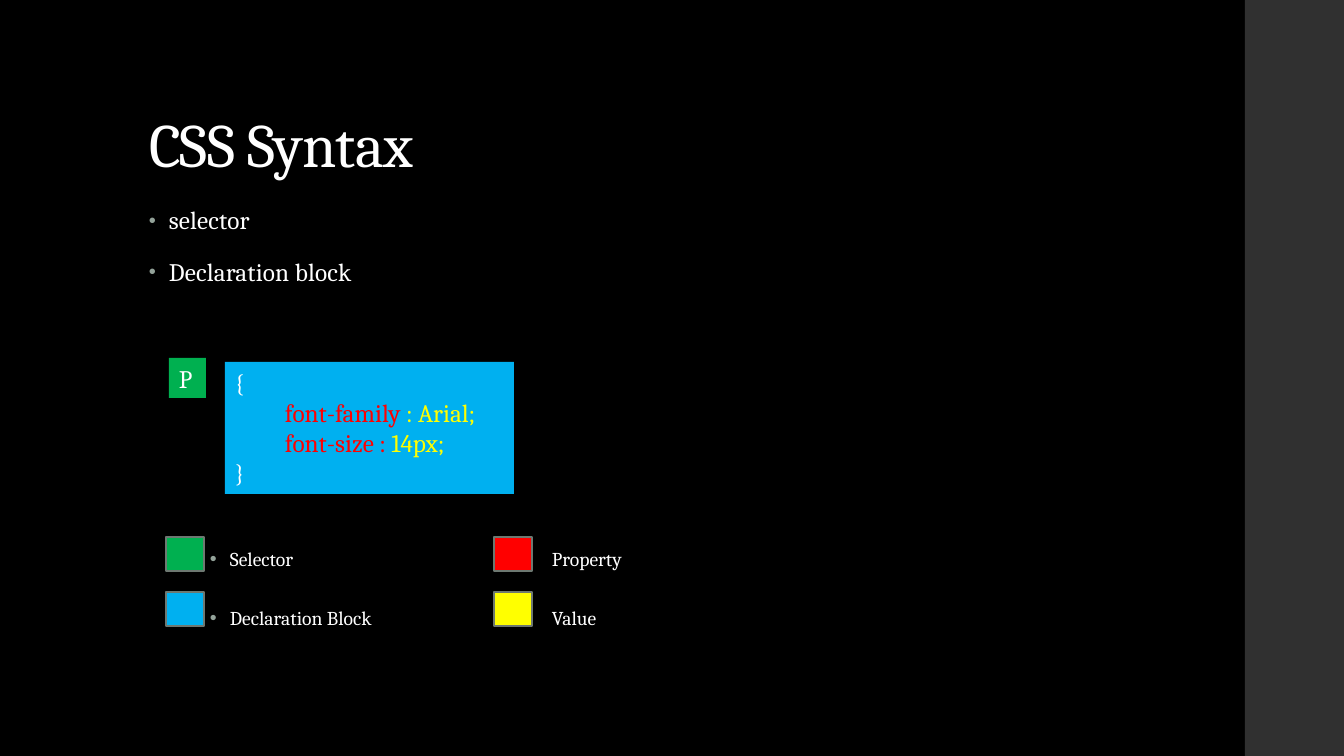
from lxml import etree
from pptx import Presentation
from pptx import util as u
from pptx.dml.color import RGBColor
from pptx.enum import shapes, text
from pptx.oxml.ns import qn

PX = 914400 / 100.8
FONT = "Cambria"
WHITE, GREEN, BLUE, RED, YELLOW = "FFFFFF", "00B050", "00B0F0", "FF0000", "FFFF00"
BACKGROUND, SIDEBAR, OUTLINE, BULLET = "000000", "303030", "6D7871", "93A299"

TITLE = "CSS Syntax"
PARTS = ["selector", "Declaration block"]
SELECTOR = [[("P", WHITE)]]
DECLARATION = [
    [("{", WHITE)],
    [("font-family ", RED), (": Arial;", YELLOW)],
    [("font-size : ", RED), ("14px;", YELLOW)],
    [("}", WHITE)],
]
# Columns: swatch x, label x, bulleted, entries from top to bottom
LEGEND = [
    (166, 230, True, [("Selector", GREEN), ("Declaration Block", BLUE)]),
    (494, 552, False, [("Property", RED), ("Value", YELLOW)]),
]
SWATCH_TOP, SWATCH_STEP = 537, 55
LABEL_TOP, LABEL_STEP = 547, 59
HANG = 20
CODE_INDENT = 50


def px(n):
    return u.Emu(round(n * PX))


def rgb(value):
    return RGBColor.from_string(value)


def add_rect(slide, box, fill, line=None):
    sp = slide.shapes.add_shape(shapes.MSO_SHAPE.RECTANGLE, *map(px, box))
    sp.shadow.inherit = False
    sp.fill.solid()
    sp.fill.fore_color.rgb = rgb(fill)
    if line:
        sp.line.color.rgb = rgb(line)
        sp.line.width = u.Pt(1.1)
    else:
        sp.line.fill.background()
    return sp


def set_frame(tf, anchor, inset_x=10, inset_y=5):
    tf.word_wrap = True
    tf.vertical_anchor = anchor
    tf.margin_left = tf.margin_right = px(inset_x)
    tf.margin_top = tf.margin_bottom = px(inset_y)


def style(r, size, color=WHITE, spacing=0):
    r.font.name = FONT
    r.font.size = u.Pt(size)
    r.font.color.rgb = rgb(color)
    if spacing:
        r.font._element.set("spc", str(round(spacing * 100)))


def add_bullet(p, scale=100):
    pPr = p._p.get_or_add_pPr()
    pPr.set("marL", str(px(HANG)))
    pPr.set("indent", str(-px(HANG)))
    color = etree.SubElement(pPr, qn("a:buClr"))
    etree.SubElement(color, qn("a:srgbClr"), val=BULLET)
    etree.SubElement(pPr, qn("a:buSzPct"), val=str(scale * 1000))
    etree.SubElement(pPr, qn("a:buFont"), typeface="Arial")
    etree.SubElement(pPr, qn("a:buChar"), char="•")


def add_text(slide, box, lines, size, anchor=text.MSO_ANCHOR.TOP, spacing=0, inset=(10, 5)):
    tf = slide.shapes.add_textbox(*map(px, box)).text_frame
    set_frame(tf, anchor, *inset)
    tf.text = "\n".join(lines)
    for p in tf.paragraphs:
        style(p.runs[0], size, spacing=spacing)
    return tf.paragraphs


def add_code(slide, box, fill, lines):
    tf = add_rect(slide, box, fill).text_frame
    set_frame(tf, text.MSO_ANCHOR.TOP)
    for i, pieces in enumerate(lines):
        p = tf.add_paragraph() if i else tf.paragraphs[0]
        p.alignment = text.PP_ALIGN.LEFT
        if len(pieces) > 1:
            p._p.get_or_add_pPr().set("marL", str(px(CODE_INDENT)))
        for content, color in pieces:
            r = p.add_run()
            r.text = content
            style(r, 18, color)


def add_legend(slide):
    for swatch_x, label_x, bulleted, entries in LEGEND:
        for row, (label, color) in enumerate(entries):
            add_rect(slide, (swatch_x, SWATCH_TOP + row * SWATCH_STEP, 38, 34), color, OUTLINE)
            hang = HANG if bulleted else 0
            box = (label_x - hang, LABEL_TOP + row * LABEL_STEP, 200, 24)
            p = add_text(slide, box, [label], 14, text.MSO_ANCHOR.MIDDLE, inset=(0, 0))[0]
            if bulleted:
                add_bullet(p)


def main():
    prs = Presentation()
    prs.slide_width, prs.slide_height = px(1344), px(756)
    slide = prs.slides.add_slide(prs.slide_layouts[6])
    slide.background.fill.solid()
    slide.background.fill.fore_color.rgb = rgb(BACKGROUND)

    add_rect(slide, (1245, 0, 99, 756), SIDEBAR)
    title = add_text(slide, (139, 40, 1069, 146), [TITLE], 44, text.MSO_ANCHOR.BOTTOM, -0.5)[0]
    title.line_spacing = 0.9
    for p in add_text(slide, (139, 202, 948, 110), PARTS, 18, spacing=0.1):
        p.line_spacing = 0.95
        p.space_before, p.space_after = u.Pt(14), u.Pt(2)
        add_bullet(p, 80)

    add_code(slide, (169, 358, 37, 40), GREEN, SELECTOR)
    add_code(slide, (225, 362, 289, 132), BLUE, DECLARATION)
    add_legend(slide)
    prs.save("out.pptx")


if __name__ == "__main__":
    main()
